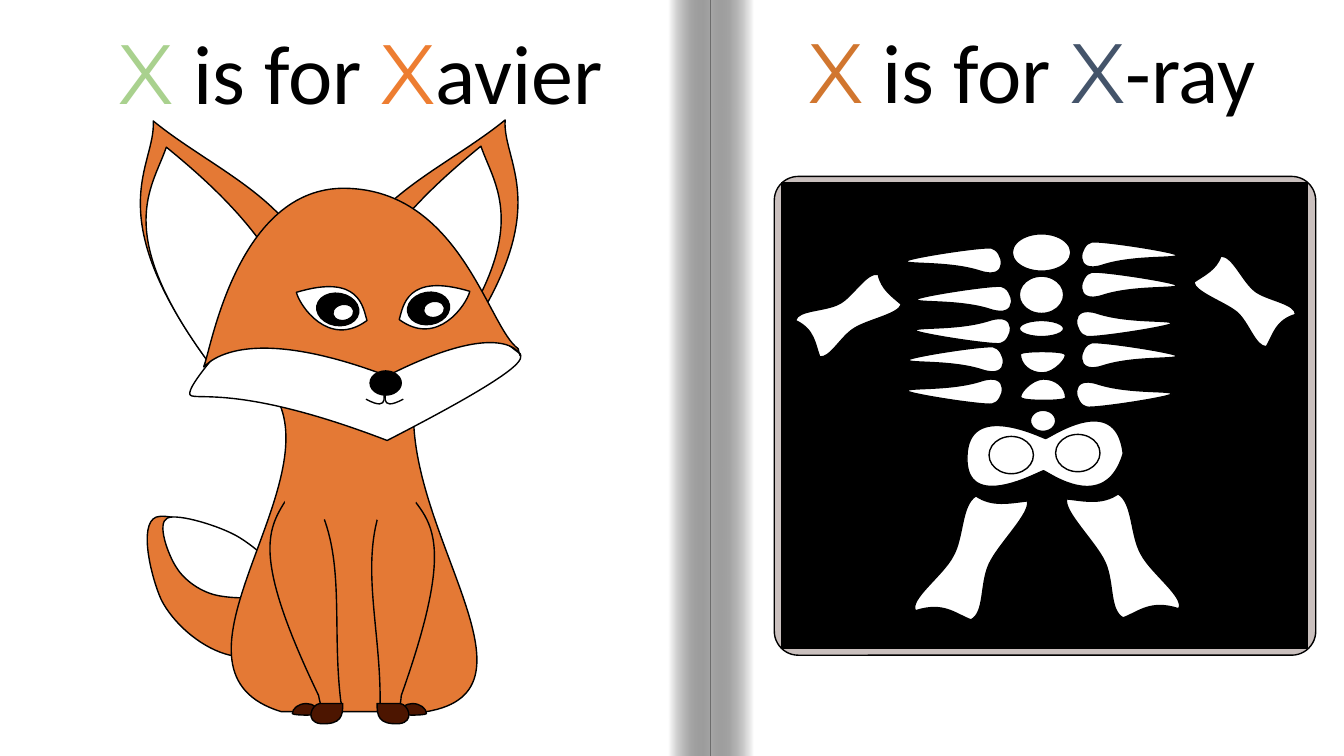
from lxml.etree import SubElement
from pptx import Presentation
from pptx.dml.color import RGBColor
from pptx.enum.shapes import MSO_SHAPE
from pptx.enum.text import MSO_ANCHOR, MSO_AUTO_SIZE, PP_ALIGN
from pptx.oxml.ns import qn
from pptx.util import Inches, Pt

COLOURS = {
    "white": "FFFFFF", "black": "000000", "fur": "E47935", "paw": "4C1500",
    "frame": "CAC0BE", "green": "A9D18E", "orange": "ED7D31",
    "rust": "D1762F", "slate": "44546A",
}
TEXT_FRAME = {
    "word_wrap": True, "auto_size": MSO_AUTO_SIZE.SHAPE_TO_FIT_TEXT,
    "vertical_anchor": MSO_ANCHOR.TOP,
    "margin_left": Inches(0.1), "margin_right": Inches(0.1),
    "margin_top": Inches(0.05), "margin_bottom": Inches(0.05),
}

TAIL = [(1.55, 5.13), (1.37, 5.2, 1.5, 5.73, 1.6, 5.95),
        (1.71, 6.17, 1.97, 6.41, 2.24, 6.49), (2.5, 6.56, 3.05, 6.66, 3.18, 6.42),
        (3.32, 6.17, 2.96, 5.79, 2.69, 5.57), (2.41, 5.36, 1.73, 5.07, 1.55, 5.13)]
TAIL_TIP = [(1.66, 5.14), (1.55, 5.19, 1.67, 5.51, 1.75, 5.63),
            (1.83, 5.76, 2, 5.88, 2.17, 5.91), (2.33, 5.94, 2.67, 5.96, 2.74, 5.8),
            (2.8, 5.65, 2.55, 5.44, 2.37, 5.33), (2.19, 5.22, 1.76, 5.09, 1.66, 5.14)]
BODY = [(2.77, 4), (4.11, 3.95), (3.98, 5.25, 5.48, 6.85, 4.23, 7.06),
        (2.79, 7.06), (1.5, 6.67, 3.18, 4.93, 2.77, 4)]
RIGHT_LEG = [(3.87, 4.83), (3.85, 4.84, 3.92, 4.68, 3.91, 4.68),
             (4.16, 5.17, 4.63, 5.07, 3.98, 6.9), (3.95, 7.32, 3.72, 6.99, 3.77, 6.99),
             (3.78, 6.16, 3.52, 5.47, 3.87, 4.83)]
LEFT_LEG = [(3.05, 4.83), (3.06, 4.83, 2.98, 4.68, 2.99, 4.68),
            (2.79, 5.19, 2.32, 5.15, 3.16, 6.9), (3.23, 7.31, 3.42, 6.95, 3.38, 6.96),
            (3.28, 6.13, 3.46, 5.42, 3.05, 4.83)]
BACK_PAW = [(3.96, 7.08), (3.96, 7.03, 4.02, 6.98, 4.09, 6.98),
            (4.17, 6.98, 4.23, 7.03, 4.23, 7.08), (4.21, 7.1, 3.98, 7.1, 3.96, 7.08)]
FRONT_PAW = [(3.74, 6.98), (3.97, 6.98), (4.05, 6.99, 4.12, 7.16, 3.96, 7.18),
             (3.75, 7.19, 3.74, 7.1, 3.74, 6.98)]
EAR = [(4.44, 3.61), (5.57, 2.09, 4.98, 1.64, 5.01, 1.19),
       (4.52, 1.59, 3.86, 1.87, 3.54, 2.4), (4.44, 3.61)]
INNER_EAR = [(4.34, 3.6), (5.31, 2.29, 4.91, 1.86, 4.77, 1.45),
             (4.34, 1.8, 3.94, 2.18, 3.67, 2.64), (4.34, 3.6)]
MUZZLE = [(1.89, 3.87), (1.95, 3.68, 2.93, 2.56, 3.48, 2.5),
          (4.02, 2.45, 4.87, 3.31, 5.16, 3.51), (5.17, 3.56, 5.28, 3.63, 3.84, 4.37),
          (2.15, 3.72, 1.82, 4.05, 1.89, 3.87)]
HEAD = [(2.03, 3.61), (2.1, 3.42, 2.38, 1.8, 3.48, 1.87),
        (4.58, 1.93, 4.85, 3.26, 5.14, 3.46), (5.19, 3.75, 5.28, 3, 3.84, 3.73),
        (2.15, 3.09, 1.97, 3.79, 2.03, 3.61)]
EYE = [(4.66, 2.89), (4.03, 2.7, 4, 3.04, 3.96, 3.17), (4.34, 3.45, 4.63, 3.02, 4.66, 2.89)]
MOUTH = [(3.83, 3.82), (3.84, 3.89, 3.74, 4.1, 4, 3.96)]

PELVIS = [(9.59, 4.53), (9.6, 3.97, 10.33, 4.34, 10.37, 4.35),
          (10.4, 4.35, 11.07, 3.87, 11.14, 4.5), (10.96, 5.11, 10.39, 4.68, 10.35, 4.67),
          (10.32, 4.67, 9.57, 5.1, 9.59, 4.53)]
HALF_DISC = [(10.12, 3.51), (10.15, 3.48, 10.52, 3.48, 10.56, 3.51),
             (10.6, 3.54, 10.46, 3.7, 10.34, 3.7), (10.22, 3.7, 10.12, 3.62, 10.12, 3.51)]
RIB = [(0, 0.12), (-0.02, 0.08, 0.42, 0.12, 0.73, 0.02),
       (1.03, -0.08, 0.96, 0.23, 0.84, 0.25), (0.72, 0.26, 0.02, 0.15, 0, 0.12)]
RIGHT_ARM = [(12.11, 2.54), (12.23, 2.54, 12.32, 2.79, 12.45, 2.89),
             (12.57, 2.98, 12.85, 3.01, 12.85, 3.12), (12.65, 3.18, 12.63, 3.32, 12.56, 3.44),
             (12.45, 3.44, 12.39, 3.21, 12.27, 3.1), (12.15, 3, 11.85, 2.9, 11.84, 2.8),
             (11.94, 2.73, 12.06, 2.68, 12.11, 2.54)]
LEFT_ARM = [(8.71, 2.72), (8.59, 2.7, 8.46, 2.94, 8.33, 3.01),
            (8.19, 3.09, 7.91, 3.07, 7.89, 3.18), (8.08, 3.27, 8.08, 3.41, 8.13, 3.54),
            (8.23, 3.56, 8.34, 3.34, 8.47, 3.26), (8.61, 3.17, 8.91, 3.12, 8.94, 3.02),
            (8.85, 2.94, 8.74, 2.87, 8.71, 2.72)]
THIGH = [(9.68, 4.92), (9.53, 5.01, 9.56, 5.33, 9.45, 5.52),
         (9.35, 5.71, 9.01, 5.95, 9.08, 6.06), (9.36, 5.97, 9.47, 6.09, 9.63, 6.15),
         (9.77, 6.08, 9.72, 5.8, 9.81, 5.6), (9.9, 5.4, 10.23, 5.09, 10.19, 4.97),
         (10.01, 4.99, 9.84, 5.03, 9.68, 4.92)]

LEFT_RIBS = [(8.99, 2.46, True), (9.09, 2.84, True), (9.08, 3.16, False),
             (9.01, 3.44, True), (9, 3.76, False)]
RIGHT_RIBS = [(10.73, 2.4, True), (10.73, 2.7, True), (10.68, 3.09, False),
              (10.73, 3.4, True), (10.68, 3.79, False)]
JOINTS = [(10.04, 2.32, 0.58, 0.37), (10.11, 2.74, 0.44, 0.37), (10.11, 3.18, 0.44, 0.16),
          (10.22, 4.07, 0.25, 0.21), (9.81, 4.33, 0.44, 0.37), (10.47, 4.31, 0.44, 0.37)]


def colour(name):
    """Return the named colour."""
    return RGBColor.from_string(COLOURS[name])


def paint(shape, fill, outlined=True):
    """Give a shape its fill and a thin black line, or none of either."""
    shape.shadow.inherit = False
    if fill:
        shape.fill.solid()
        shape.fill.fore_color.rgb = colour(fill)
    else:
        shape.fill.background()
    if outlined:
        shape.line.color.rgb = colour("black")
        shape.line.width = Pt(1)
    else:
        shape.line.fill.background()


def add_preset(parent, kind, frame, fill, outlined=True, rotation=0):
    """Add a preset shape in a frame given in inches."""
    shape = parent.shapes.add_shape(kind, *map(Inches, frame))
    shape.rotation = rotation
    paint(shape, fill, outlined)
    return shape


def add_outline(parent, outline, fill):
    """Add a freeform whose six-number steps are Bezier curves and others lines."""
    start, *steps = [[Inches(value) for value in step] for step in outline]
    builder = parent.shapes.build_freeform(*start)
    builder.add_line_segments([step[-2:] for step in steps], close=bool(fill))
    shape = builder.convert_to_shape()
    track = shape.element.find(".//" + qn("a:path"))
    for line, step in zip(track.findall(qn("a:lnTo")), steps):
        if len(step) == 6:
            curve = SubElement(track, qn("a:cubicBezTo"))
            for x, y in zip(step[::2], step[1::2]):
                SubElement(curve, qn("a:pt"), x=str(x - shape.left), y=str(y - shape.top))
            track.replace(line, curve)
    paint(shape, fill)


def turn(outline, x_sign, x_shift, y_sign, y_shift):
    """Mirror and move an outline."""
    signs, shifts = (x_sign, y_sign), (x_shift, y_shift)
    return [tuple(signs[i % 2] * value + shifts[i % 2] for i, value in enumerate(step))
            for step in outline]


def add_pair(parent, outline, fill, mirror, drop=0):
    """Add an outline and its mirrored twin."""
    add_outline(parent, outline, fill)
    add_outline(parent, turn(outline, -1, mirror, 1, drop), fill)


def add_fold(parent, left, angle):
    """Add one shaded side of the book fold."""
    fold = add_preset(parent, MSO_SHAPE.RECTANGLE, (left, 0, 0.42, 7.5), "white", False)
    fold.fill.gradient()
    fold.fill.gradient_angle = angle
    for stop, name in zip(fold.fill.gradient_stops, ("white", "black")):
        stop.color.rgb = colour(name)
    shade = fold.element.findall(".//" + qn("a:srgbClr"))[-1]
    SubElement(shade, qn("a:alpha"), val="34000")


def write_heading(box, frame, words):
    """Place a heading and write its coloured words."""
    box.left, box.top, box.width, box.height = map(Inches, frame)
    for name, value in TEXT_FRAME.items():
        setattr(box.text_frame, name, value)
    para = box.text_frame.paragraphs[0]
    para.alignment = PP_ALIGN.CENTER
    para.line_spacing = 1.0
    for text, name in words:
        span = para.add_run()
        span.text = text
        font = "Calibri" if name == "black" else "Montserrat"
        for key, value in {"size": Pt(60), "name": font}.items():
            setattr(span.font, key, value)
        span.font.color.rgb = colour(name)


def draw_fox(fox):
    """Draw the sitting fox from tail to mouth."""
    for outline, fill in ((TAIL, "fur"), (TAIL_TIP, "white"), (BODY, "fur"),
                          (RIGHT_LEG, "fur"), (LEFT_LEG, "fur")):
        add_outline(fox, outline, fill)
    add_pair(fox, BACK_PAW, "paw", 7.13)
    add_pair(fox, FRONT_PAW, "paw", 7.14)
    for left in (2.81, 3.57):
        add_preset(fox, MSO_SHAPE.OVAL, (left, 4.59, 0.57, 0.59), "fur", False)
    add_pair(fox, EAR, "fur", 6.53, 0.01)
    add_pair(fox, INNER_EAR, "white", 6.42, 0.01)
    add_outline(fox, MUZZLE, "white")
    add_outline(fox, HEAD, "fur")
    add_preset(fox, MSO_SHAPE.OVAL, (3.67, 3.68, 0.31, 0.24), "black")
    add_pair(fox, EYE, "white", 7.6, 0.01)
    for left, top, tilt, glint_top in ((4.04, 2.9, -9.9, 2.99), (3.14, 2.91, 9.9, 3.02)):
        add_preset(fox, MSO_SHAPE.OVAL, (left, top, 0.42, 0.32), "black", rotation=tilt)
        add_preset(fox, MSO_SHAPE.OVAL, (left + 0.16, glint_top, 0.21, 0.16), "white",
                   rotation=-10)
    add_pair(fox, MOUTH, None, 7.63)


def draw_xray(xray):
    """Draw the framed X-ray with its bones."""
    frame = add_preset(xray, MSO_SHAPE.ROUNDED_RECTANGLE, (7.68, 1.75, 5.37, 4.75), "frame")
    frame.adjustments[0] = 0.05
    add_preset(xray, MSO_SHAPE.RECTANGLE, (7.75, 1.81, 5.22, 4.62), "black")
    for outline in (PELVIS, HALF_DISC, turn(HALF_DISC, -1, 20.69, -1, 7.46),
                    RIGHT_ARM, LEFT_ARM):
        add_outline(xray, outline, "white")
    for joint in JOINTS:
        add_preset(xray, MSO_SHAPE.OVAL, joint, "white")
    for ribs, x_sign, x_shift in ((LEFT_RIBS, 1, 0), (RIGHT_RIBS, -1, 0.94)):
        for left, top, flipped in ribs:
            y_sign, y_shift = (-1, 0.25) if flipped else (1, 0)
            add_outline(xray, turn(RIB, x_sign, left + x_shift, y_sign, top + y_shift), "white")
    add_pair(xray, THIGH, "white", 20.77, -0.02)


def main():
    """Build the two-page alphabet spread."""
    deck = Presentation()
    deck.slide_width, deck.slide_height = Inches(13.33), Inches(7.5)
    page = deck.slides.add_slide(deck.slide_layouts[5])
    page.background.fill.solid()
    page.background.fill.fore_color.rgb = colour("black")
    book = page.shapes.add_group_shape()
    add_preset(book, MSO_SHAPE.RECTANGLE, (0, 0, 13.33, 7.5), "white", False)
    add_fold(book, 7.05, 180)
    add_fold(book, 6.63, 0)
    title = page.shapes.title
    title.element.getparent().append(title.element)
    write_heading(title, (0.57, 0.15, 6.02, 1.11),
                  [("X", "green"), (" is for ", "black"), ("X", "orange"), ("avier", "black")])
    write_heading(page.shapes.add_textbox(0, 0, 0, 0), (6.99, 0.14, 6.68, 1.11),
                  [("X", "rust"), (" is for ", "black"), ("X", "slate"), ("-ray ", "black")])
    draw_fox(page.shapes.add_group_shape())
    draw_xray(page.shapes.add_group_shape())
    deck.save("out.pptx")


if __name__ == "__main__":
    main()
